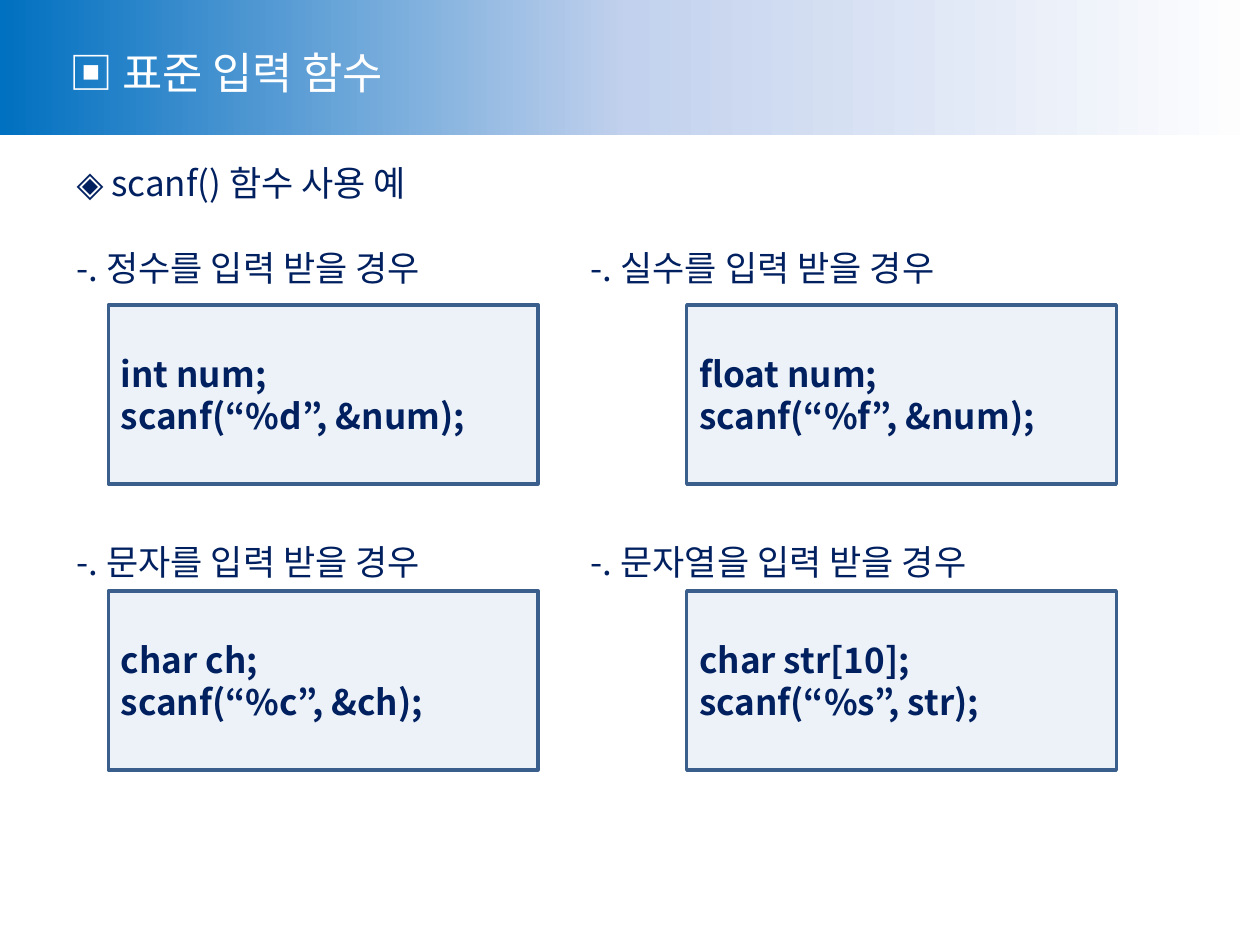
from pptx import Presentation
from pptx.dml.color import RGBColor
from pptx.enum.shapes import MSO_SHAPE
from pptx.enum.text import MSO_ANCHOR, PP_ALIGN
from pptx.oxml.ns import qn
from pptx.util import Inches, Pt
from lxml.etree import SubElement

# Content
TITLE = "▣ 표준 입력 함수"
TOPIC = "◈ scanf() 함수 사용 예"
CASES = [
    [("-. 정수를 입력 받을 경우", ["int num;", "scanf(“%d”, &num);"]),
     ("-. 실수를 입력 받을 경우", ["float num;", "scanf(“%f”, &num);"])],
    [("-. 문자를 입력 받을 경우", ["char ch;", "scanf(“%c”, &ch);"]),
     ("-. 문자열을 입력 받을 경우", ["char str[10];", "scanf(“%s”, str);"])],
]

# Look
FONT = "Noto Sans CJK KR"
HEX = {"navy": "002060", "white": "FFFFFF", "band": "0070C0",
       "haze": "C2D1ED", "box": "4F81BD", "edge": "3A5F8C"}
FADE = [(0, "band"), (50, "haze"), (100, "white")]

# Grid, in inches
WIDE, HIGH = 10, 7.5
BAND = 1.07
LEFT = 0.51
HEAD_X, HEAD_Y = (LEFT, 4.59), (1.9, 4.24)
CODE_X, CODE_Y = (0.86, 5.45), (2.42, 4.69)
CODE_W, CODE_H = 3.41, 1.42
LINE_H = 0.44


def rgb(name):
    return RGBColor.from_string(HEX[name])


def write(shape, text, size=20, color="navy", bold=False):
    frame = shape.text_frame
    frame.word_wrap = True
    frame.vertical_anchor = MSO_ANCHOR.MIDDLE
    lines = [text] if isinstance(text, str) else text
    for i, line in enumerate(lines):
        para = frame.add_paragraph() if i else frame.paragraphs[0]
        para.alignment = PP_ALIGN.LEFT
        run = para.add_run()
        run.text = line
        font = run.font
        font.name, font.size, font.bold = FONT, Pt(size), bold
        font.color.rgb = rgb(color)
        SubElement(run._r.get_or_add_rPr(), qn("a:ea"), typeface=FONT)


def label(slide, text, x, y, w, h=LINE_H, **look):
    write(slide.shapes.add_textbox(*map(Inches, (x, y, w, h))), text, **look)


def rect(slide, x, y, w, h):
    shape = slide.shapes.add_shape(
        MSO_SHAPE.RECTANGLE, *map(Inches, (x, y, w, h)))
    shape.shadow.inherit = False
    return shape


def band(slide):
    shape = rect(slide, 0, 0, WIDE, BAND)
    shape.line.fill.background()
    shape.fill.gradient()
    shape.fill.gradient_angle = 0
    stops = shape._element.spPr.find(".//" + qn("a:gsLst"))
    for old in list(stops):
        stops.remove(old)
    for share, name in FADE:
        stop = SubElement(stops, qn("a:gs"), pos=str(share * 1000))
        SubElement(stop, qn("a:srgbClr"), val=HEX[name])


def code(slide, lines, x, y):
    shape = rect(slide, x, y, CODE_W, CODE_H)
    shape.fill.solid()
    shape.fill.fore_color.rgb = rgb("box")
    tint = shape._element.spPr.find(qn("a:solidFill"))[0]
    SubElement(tint, qn("a:alpha"), val="10000")
    shape.line.color.rgb = rgb("edge")
    shape.line.width = Pt(2)
    write(shape, lines, bold=True)


def main():
    deck = Presentation()
    deck.slide_width, deck.slide_height = Inches(WIDE), Inches(HIGH)
    slide = deck.slides.add_slide(deck.slide_layouts[6])

    # Title band and topic
    band(slide)
    label(slide, TITLE, 0.45, 0.31, 4, 0.52, size=25, color="white")
    label(slide, TOPIC, LEFT, 1.23, 5)

    # Two by two cases
    for r, row in enumerate(CASES):
        for c, (head, lines) in enumerate(row):
            label(slide, head, HEAD_X[c], HEAD_Y[r], 4)
            code(slide, lines, CODE_X[c], CODE_Y[r])

    deck.save("out.pptx")


if __name__ == "__main__":
    main()
